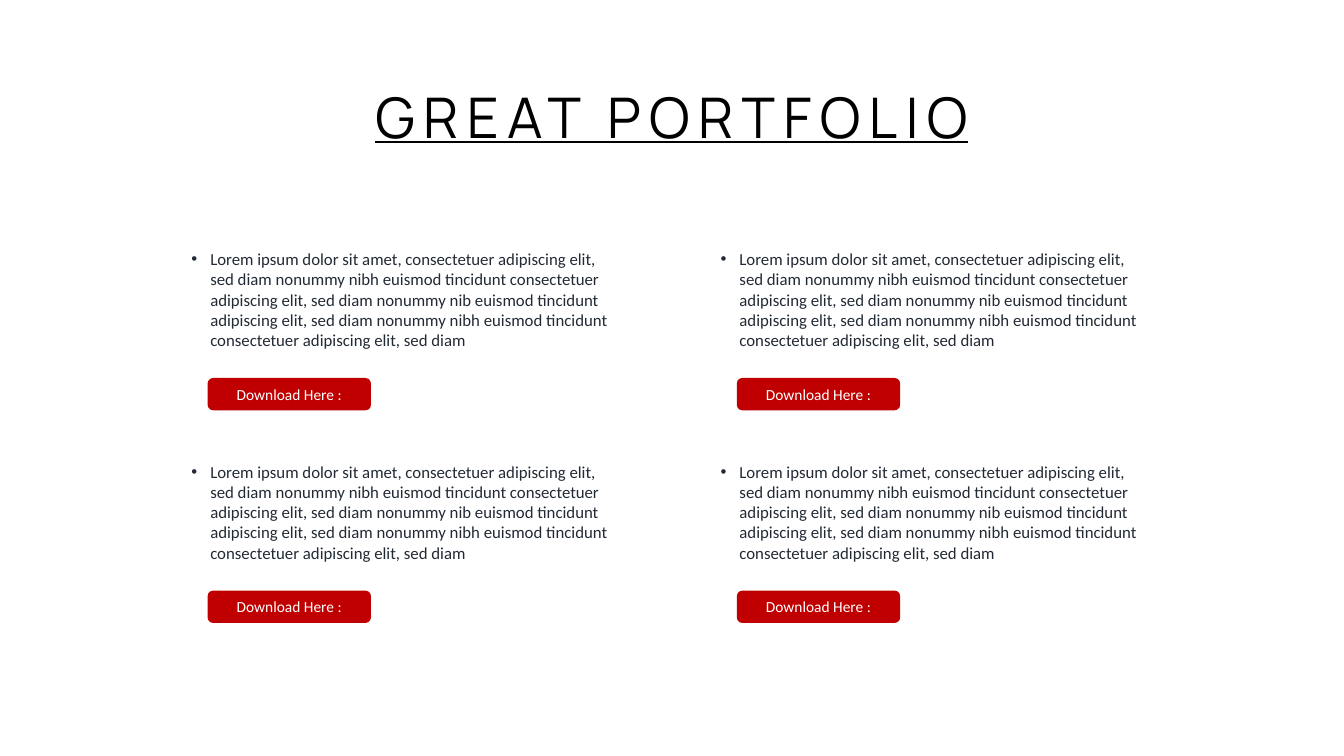
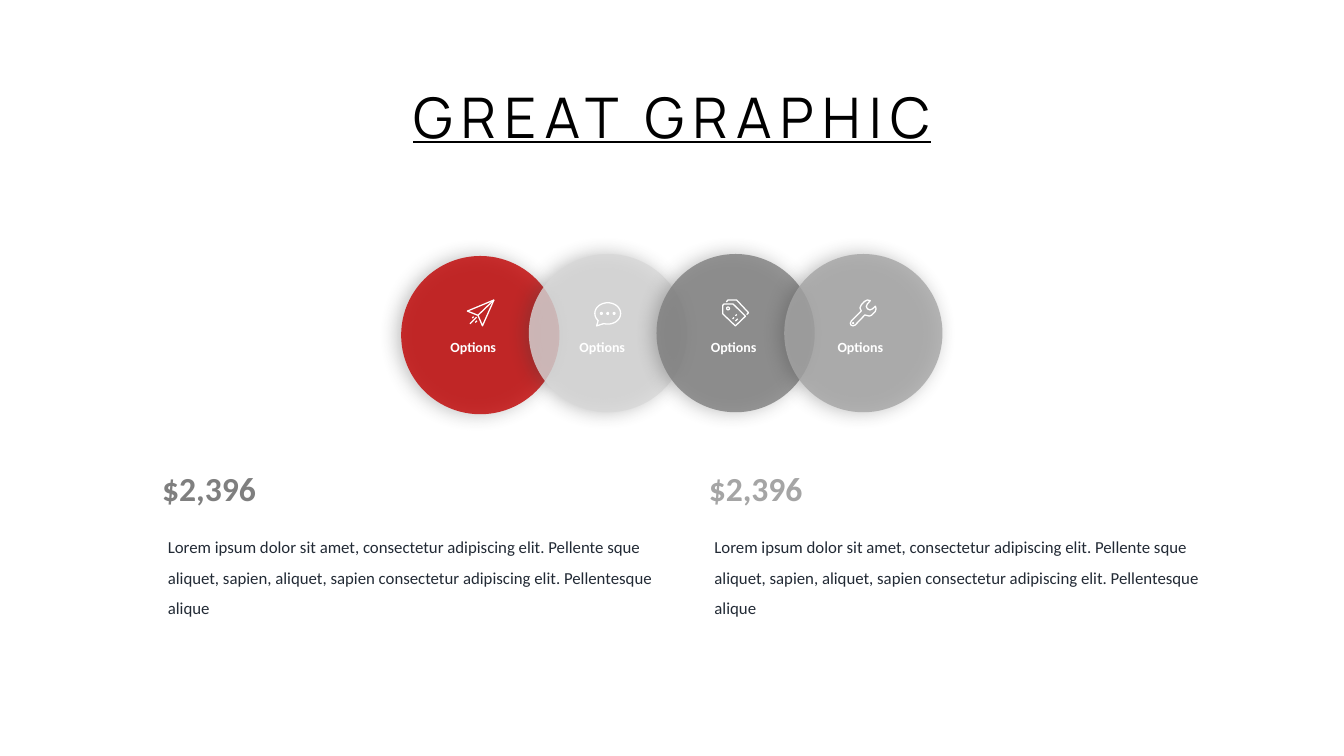
import math
from dataclasses import dataclass

import lxml.etree
import pptx
import pptx.dml.color
import pptx.enum.shapes
import pptx.enum.text
import pptx.oxml.ns
import pptx.util

# ---- Content ----
PORTFOLIO_TITLE = ["GREAT PORTFOLIO"]
PORTFOLIO_TEXT = (
    "Lorem ipsum dolor sit amet, consectetuer adipiscing elit, sed diam nonummy nibh "
    "euismod tincidunt consectetuer adipiscing elit, sed diam nonummy nib euismod "
    "tincidunt adipiscing elit, sed diam nonummy nibh euismod tincidunt consectetuer "
    "adipiscing elit, sed diam"
)
BUTTON_TEXT = "Download Here :"
PORTFOLIO_ITEMS = [[(PORTFOLIO_TEXT, BUTTON_TEXT)] * 2] * 2  # rows of columns

GRAPHIC_TITLE = ["GREAT ", "GRAPHIC"]
AMOUNT_TEXT = (
    "Lorem ipsum dolor sit amet, consectetur adipiscing elit. Pellente sque aliquet, "
    "sapien, aliquet, sapien consectetur adipiscing elit. Pellentesque alique"
)
AMOUNTS = [("$2,396", "dark_gray", AMOUNT_TEXT), ("$2,396", "gray", AMOUNT_TEXT)]
# label, icon, circle colour, circle top, label offset inside the circle
OPTIONS = [
    ("Options", "plane", "red", 7.62, 0.63),
    ("Options", "bubble", "light_gray", 7.56, 0.67),
    ("Options", "tags", "dark_gray", 7.56, 0.78),
    ("Options", "wrench", "gray", 7.56, 0.75),
]


# ---- Theme ----
@dataclass(frozen=True)
class Theme:
    black: str = "000000"
    white: str = "FFFFFF"
    ink: str = "222A35"
    red: str = "C00000"
    light_gray: str = "D8D8D8"
    dark_gray: str = "7F7F7F"
    gray: str = "A5A5A5"
    shadow: str = "404040"
    title_font: str = "Manrope"
    body_font: str = "Calibri"
    title_size: int = 40
    amount_size: int = 24
    body_size: int = 12
    button_size: int = 11
    label_size: int = 10
    icon_line: float = 0.9


THEME = Theme()
COLUMNS, ROWS = 40, 22.5  # square cells, a third of an inch
CELL = pptx.util.Inches(13.333) / COLUMNS
ICON_UNIT = CELL * 0.03  # an icon is 27 units wide
ALIGN = pptx.enum.text.PP_ALIGN
SHAPE = pptx.enum.shapes.MSO_SHAPE


# ---- Icons: each is a list of (points, closed) strokes ----
def arc(center_x, center_y, radius_x, radius_y, start=0, end=360, steps=24):
    angles = [math.radians(start + (end - start) * i / steps) for i in range(steps + 1)]
    return [(center_x + radius_x * math.cos(a), center_y + radius_y * math.sin(a)) for a in angles]


def dot(center_x, center_y, radius):
    return arc(center_x, center_y, radius, radius, steps=12), True


ICONS = {
    "plane": [
        ([(0.7, 11.7), (27, 0.7), (15.7, 26.3), (11.2, 15.9)], True),
        ([(11.2, 15.9), (27, 0.7)], False),
        ([(10.3, 21.3), (8.5, 23)], False),
        ([(9.8, 17.8), (3.3, 24.3)], False),
        ([(7, 17.3), (5.5, 18.5)], False),
    ],
    "bubble": [
        (arc(13.3, 14, 12.8, 10.6, 108, -222, 40) + [(2.3, 26.4)], True),
        *[dot(x, 14, 0.9) for x in (7, 13.3, 19.6)],
    ],
    "tags": [
        ([(0.7, 6), (2, 4.6), (11, 4.6), (23.3, 16.7), (13.3, 26.3), (0.7, 14.3)], True),
        ([(4.3, 2.5), (6, 0.6), (14.5, 0.6), (26.3, 13.2), (24.5, 15.2)], False),
        dot(6, 9, 1.4),
        ([(10.5, 19.3), (12, 18)], False),
        ([(13.3, 16.3), (14.7, 15)], False),
        ([(13.3, 21.5), (15.5, 19.3)], False),
    ],
    "wrench": [
        ([(11.5, 11.5), (10.2, 8.5), (11.5, 5.5), (14.5, 2.2), (17.5, 0.6), (20.5, 1.3),
          (17.5, 4.5), (16.5, 7), (17.5, 9.3), (20, 10.5), (22.5, 9.5), (25.5, 6.8),
          (26.2, 9.5), (25.2, 12.3), (21.5, 15.8), (19.5, 16.6), (15, 15.5),
          (5.5, 25.4), (3.2, 26.3), (1.3, 25.5), (0.6, 23.6), (1.6, 21.5)], True),
        dot(3.4, 23.6, 0.4),
    ],
}


# ---- Helpers ----
def color(name):
    return pptx.dml.color.RGBColor.from_string(getattr(THEME, name))


def box(*cells):
    return [round(value * CELL) for value in cells]


def add_xml(parent, tag, **attributes):
    element = lxml.etree.SubElement(parent, pptx.oxml.ns.qn(tag))
    for key, value in attributes.items():
        element.set(key, str(value))
    return element


def add_run(paragraph, text, size, color_name, font=THEME.body_font, bold=False):
    run = paragraph.add_run()
    run.text = text
    run.font.name = font
    run.font.size = pptx.util.Pt(size)
    run.font.bold = bold
    run.font.color.rgb = color(color_name)
    return run


def add_text_box(slide, cells, wrap=True, align=ALIGN.LEFT):
    frame = slide.shapes.add_textbox(*box(*cells)).text_frame
    frame.word_wrap = wrap
    frame.auto_size = pptx.enum.text.MSO_AUTO_SIZE.SHAPE_TO_FIT_TEXT
    paragraph = frame.paragraphs[0]
    paragraph.alignment = align
    return paragraph


def add_filled_shape(slide, preset, cells, fill):
    shape = slide.shapes.add_shape(preset, *box(*cells))
    shape.fill.solid()
    shape.fill.fore_color.rgb = color(fill)
    shape.line.fill.background()
    shape.shadow.inherit = False
    return shape


def add_title(slide, words, width):
    cells = ((COLUMNS - width) / 2, 2.31, width, 2.31)
    paragraph = add_text_box(slide, cells, wrap=False, align=ALIGN.CENTER)
    for word in words:
        run = add_run(paragraph, word, THEME.title_size, "black", THEME.title_font)
        run.font.underline = True
        run.font._element.set("spc", "600")


def add_bullet(paragraph):
    properties = paragraph._p.get_or_add_pPr()
    properties.set("marL", "171450")
    properties.set("indent", "-171450")
    add_xml(properties, "a:buFont", typeface="Arial")
    add_xml(properties, "a:buChar", char="•")


def add_button(slide, left, top, text):
    button = add_filled_shape(slide, SHAPE.ROUNDED_RECTANGLE, (left, top, 4.86, 0.96), "red")
    button.text_frame.vertical_anchor = pptx.enum.text.MSO_ANCHOR.MIDDLE
    paragraph = button.text_frame.paragraphs[0]
    paragraph.alignment = ALIGN.CENTER
    add_run(paragraph, text, THEME.button_size, "white")


def add_circle(slide, left, top, fill):
    circle = add_filled_shape(slide, SHAPE.OVAL, (left, top, 4.71, 4.71), fill)
    properties = circle._element.spPr
    fill_color = properties.find(pptx.oxml.ns.qn("a:solidFill"))[0]
    add_xml(fill_color, "a:alpha", val=80000)
    effects = properties.find(pptx.oxml.ns.qn("a:effectLst"))
    shadow = add_xml(effects, "a:outerShdw", blurRad=pptx.util.Pt(13),
                     dist=pptx.util.Pt(3), dir=180 * 60000, algn="r", rotWithShape=0)
    shadow_color = add_xml(shadow, "a:srgbClr", val=THEME.shadow)
    add_xml(shadow_color, "a:alpha", val=40000)


def add_icon(slide, left, top, strokes):
    precision = 100  # freeform points are whole numbers
    builder = None
    for points, closed in strokes:
        start, *rest = [(x * precision, y * precision) for x, y in points]
        if builder is None:
            builder = slide.shapes.build_freeform(*start, scale=ICON_UNIT / precision)
        else:
            builder.move_to(*start)
        builder.add_line_segments(rest, close=closed)
    icon = builder.convert_to_shape(*box(left, top))
    icon.fill.background()
    icon.line.color.rgb = color("white")
    icon.line.width = pptx.util.Pt(THEME.icon_line)
    icon.shadow.inherit = False


# ---- Slides ----
def build_portfolio(slide):
    add_title(slide, PORTFOLIO_TITLE, 19.4)
    for row, items in enumerate(PORTFOLIO_ITEMS):
        for column, (text, button_text) in enumerate(items):
            left, top = 5.4 + 15.75 * column, 7.26 + 6.33 * row
            add_button(slide, left + 0.78, top + 3.99, button_text)
            paragraph = add_text_box(slide, (left, top, 13.44, 3.33))
            add_bullet(paragraph)
            add_run(paragraph, text, THEME.body_size, "ink")


def build_graphic(slide):
    add_title(slide, GRAPHIC_TITLE, 17.3)
    # Overlapping circles, each with an icon and a label
    lefts = [11.94 + 3.8 * index for index in range(len(OPTIONS))]
    for left, (_, _, fill, top, _) in zip(lefts, OPTIONS):
        add_circle(slide, left, top, fill)
    for left, (label, icon, _, _, offset) in zip(lefts, OPTIONS):
        add_icon(slide, left + 1.95, 8.91, ICONS[icon])
        paragraph = add_text_box(slide, (left + offset, 9.93, 3.03, 0.81), align=ALIGN.CENTER)
        add_run(paragraph, label, THEME.label_size, "white", bold=True)
    # Amounts with their descriptions
    for column, (amount, amount_color, text) in enumerate(AMOUNTS):
        left = 4.53 + 16.27 * column
        paragraph = add_text_box(slide, (left, 13.77, 4.74, 1.5))
        add_run(paragraph, amount, THEME.amount_size, amount_color, bold=True)
        paragraph = add_text_box(slide, (left + 0.17, 15.54, 15.66, 2.94))
        paragraph.line_spacing = 1.5
        add_run(paragraph, text, THEME.body_size, "ink")


def main():
    presentation = pptx.Presentation()
    presentation.slide_width, presentation.slide_height = box(COLUMNS, ROWS)
    for build in (build_portfolio, build_graphic):
        build(presentation.slides.add_slide(presentation.slide_layouts[6]))
    presentation.save("out.pptx")


if __name__ == "__main__":
    main()
